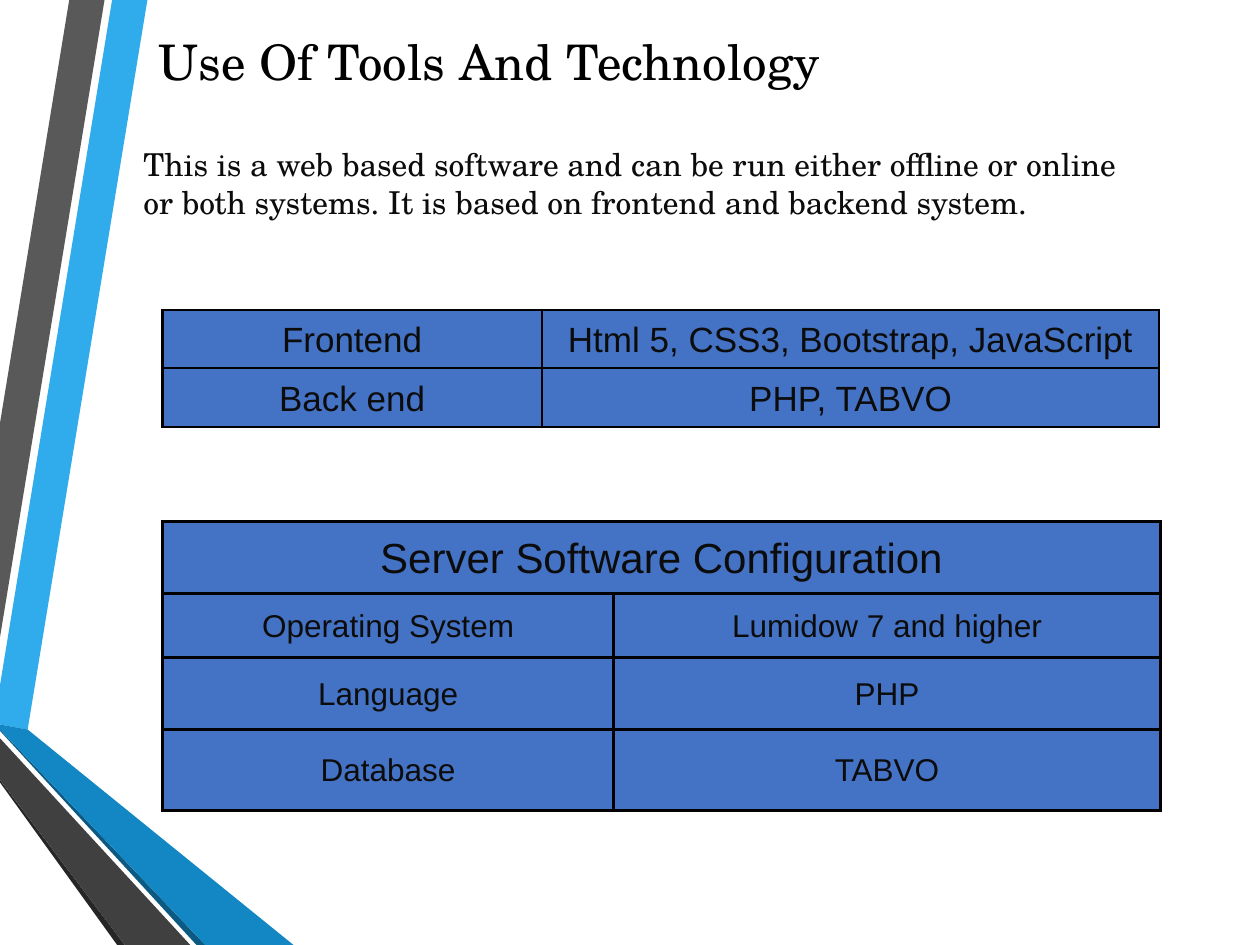
from lxml import etree
from pptx import Presentation
from pptx.dml.color import RGBColor
from pptx.enum import text
from pptx.oxml import ns
from pptx.util import Inches, Pt


def color(value):
    return RGBColor.from_string(value)


def write(frame, words, font, size, ink, **paragraph_format):
    paragraph = frame.paragraphs[0]
    for name, value in paragraph_format.items():
        setattr(paragraph, name, value)
    run = paragraph.add_run()
    run.text = words
    for name, value in {"name": font, "size": Pt(size)}.items():
        setattr(run.font, name, value)
    run.font.color.rgb = color(ink)


presentation = Presentation()
presentation.slide_width = Inches(10)
presentation.slide_height = Inches(7.5)
slide = presentation.slides.add_slide(presentation.slide_layouts[6])

ribbons = [
    ("30ACEC", [(0, 5.44), (0, 5.75), (0.22, 5.79), (1.17, 0), (0.89, 0)]),
    ("595959", [(0.83, 0), (0.55, 0), (0, 3.36), (0, 5.06)]),
    ("262626", [(0, 6.19), (0, 6.21), (0.93, 7.5), (0.99, 7.5)]),
    ("0C5A82", [(0, 5.79), (0, 5.8), (1.56, 7.5), (1.63, 7.5)]),
    ("1287C3", [(0, 5.79), (1.63, 7.5), (2.33, 7.5), (0.22, 5.79), (0, 5.75)]),
    ("404040", [(0, 6.19), (0.99, 7.5), (1.51, 7.5), (0, 5.86)]),
]
for fill, corners in ribbons:
    points = [(Inches(x), Inches(y)) for x, y in corners]
    builder = slide.shapes.build_freeform(*points[0])
    builder.add_line_segments(points[1:], close=True)
    ribbon = builder.convert_to_shape()
    ribbon.shadow.inherit = False
    ribbon.fill.solid()
    ribbon.fill.fore_color.rgb = color(fill)
    ribbon.line.fill.background()

passages = [
    ((1.16, 0.2, 8.83, 1.25), "Use Of Tools And Technology", 28, "000000"),
    ((1.04, 1.1, 7.95, 1),
     "This is a web based software and can be run either offline or online or both systems. "
     "It is based on frontend and backend system.", 18, "0C0C0C"),
]
for box, words, size, ink in passages:
    frame = slide.shapes.add_textbox(*map(Inches, box)).text_frame
    frame.word_wrap = True
    write(frame, words, "TeX Gyre Schola", size, ink)

tables = [
    {"top": 2.46, "columns": [3.01, 4.9], "heights": [0.46, 0.47], "border": 1.47,
     "sizes": [20, 20],
     "rows": [["Frontend", "Html 5, CSS3, Bootstrap, JavaScript"],
              ["Back end", "PHP, TABVO"]]},
    {"top": 4.14, "columns": [3.58, 4.34], "heights": [0.57, 0.51, 0.57, 0.64], "border": 1.98,
     "sizes": [24, 18, 18, 18],
     "rows": [["Server Software Configuration"],
              ["Operating System", "Lumidow 7 and higher"],
              ["Language", "PHP"],
              ["Database", "TABVO"]]},
]
cell_format = {
    "vertical_anchor": text.MSO_ANCHOR.MIDDLE,
    "margin_left": Inches(0.07), "margin_right": Inches(0.07),
    "margin_top": Inches(0.05), "margin_bottom": Inches(0.05),
}
for layout in tables:
    columns, heights = layout["columns"], layout["heights"]
    frame = slide.shapes.add_table(
        len(heights), len(columns), Inches(1.29), Inches(layout["top"]),
        Inches(sum(columns)), Inches(sum(heights)))
    table = frame.table
    table.first_row = table.horz_banding = False
    for column, width in zip(table.columns, columns):
        column.width = Inches(width)
    for row, height in zip(table.rows, heights):
        row.height = Inches(height)
    for cell in table.iter_cells():
        for name, value in cell_format.items():
            setattr(cell, name, value)
        cell.fill.solid()
        cell.fill.fore_color.rgb = color("4472C4")
        properties = cell._tc.get_or_add_tcPr()
        for position, side in enumerate(("lnL", "lnR", "lnT", "lnB")):
            line = etree.Element(ns.qn(f"a:{side}"), w=str(Pt(layout["border"])))
            paint = etree.SubElement(line, ns.qn("a:solidFill"))
            etree.SubElement(paint, ns.qn("a:srgbClr"), val="000000")
            properties.insert(position, line)
    for index, (values, size) in enumerate(zip(layout["rows"], layout["sizes"])):
        if len(values) == 1:
            table.cell(index, 0).merge(table.cell(index, 1))
        for place, words in enumerate(values):
            write(table.cell(index, place).text_frame, words, "Arial", size, "0C0C0C",
                  alignment=text.PP_ALIGN.CENTER, line_spacing=1.07)

presentation.save("out.pptx")
